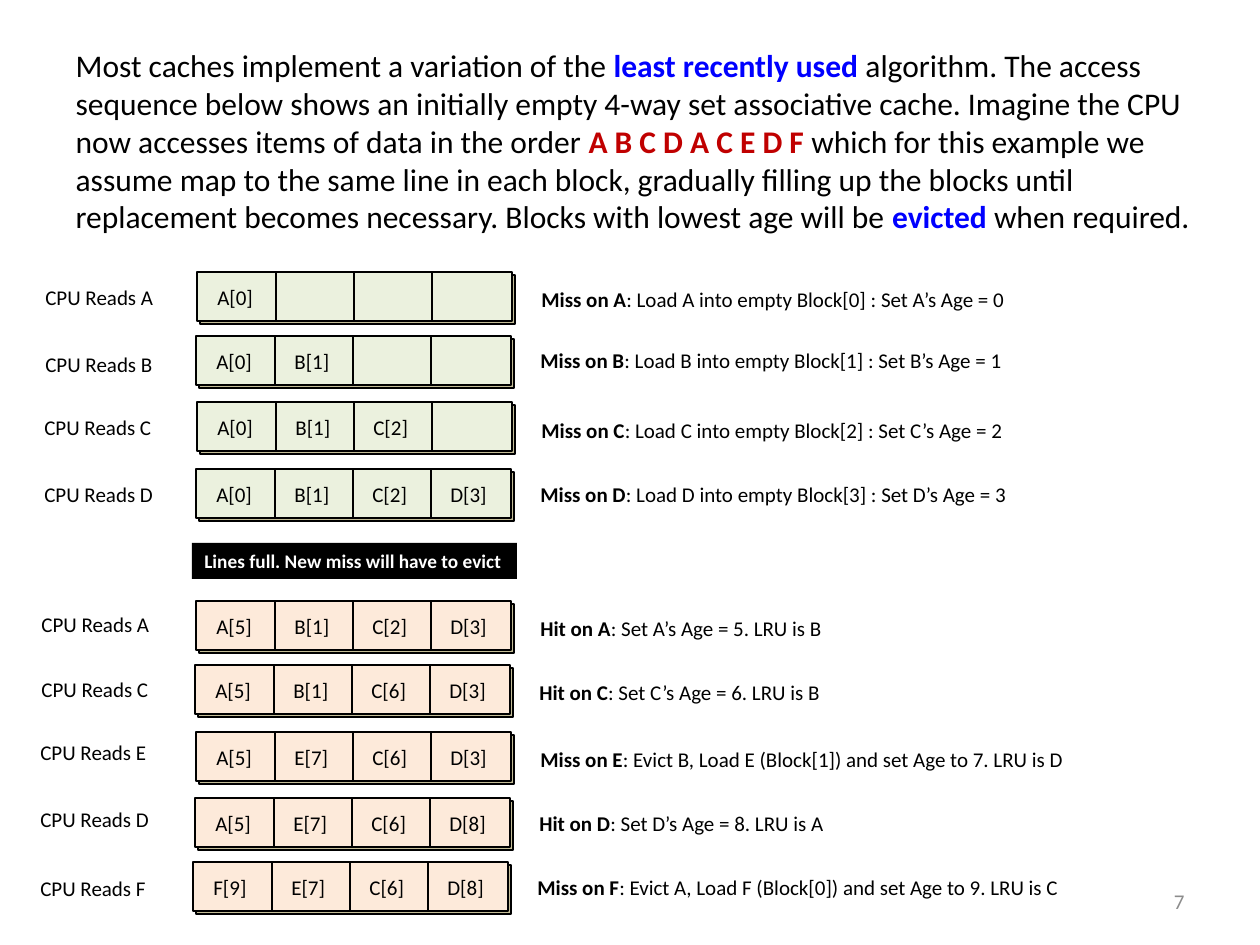
from dataclasses import dataclass

from lxml.etree import SubElement
from pptx import Presentation
from pptx.dml.color import RGBColor
from pptx.enum.shapes import MSO_CONNECTOR as LINE, MSO_SHAPE as SHAPE
from pptx.enum.text import MSO_ANCHOR as ANCHOR, MSO_AUTO_SIZE as FIT, PP_ALIGN as ALIGN
from pptx.oxml.ns import qn
from pptx.util import Pt

PX = 914400 // 126


@dataclass(frozen=True)
class Theme:
    font: str = "Calibri"
    black: str = "000000"
    white: str = "FFFFFF"
    blue: str = "0000FF"
    red: str = "C00000"
    grey: str = "8C8C8C"
    shadow: str = "C4BD97"
    filling: str = "EBF1DE"
    full: str = "FDEADA"
    intro_pt: int = 18
    text_pt: int = 12
    banner_pt: int = 11
    line_pt: float = 0.75


T = Theme()

# text, colour, bold
INTRO = [
    ("Most caches implement a variation of the ", T.black, False),
    ("least recently used", T.blue, True),
    (" algorithm. The access sequence below shows an initially empty 4-way set "
     "associative cache. Imagine the CPU now accesses items of data in the order ", T.black, False),
    ("A B C D A C E D F", T.red, True),
    (" which for this example we assume map to the same line in each block, gradually "
     "filling up the blocks until replacement becomes necessary. Blocks with lowest "
     "age will be ", T.black, False),
    ("evicted", T.blue, True),
    (" when required.", T.black, False),
]
BANNER = "Lines full. New miss will have to evict"
PAGE_NUMBER = "7"

# item read, blocks, outcome, explanation
ACCESSES = [
    ("A", "A[0]", "Miss", "Load A into empty Block[0] : Set A’s Age = 0"),
    ("B", "A[0] B[1]", "Miss", "Load B into empty Block[1] : Set B’s Age = 1"),
    ("C", "A[0] B[1] C[2]", "Miss", "Load C into empty Block[2] : Set C’s Age = 2"),
    ("D", "A[0] B[1] C[2] D[3]", "Miss", "Load D into empty Block[3] : Set D’s Age = 3"),
    ("A", "A[5] B[1] C[2] D[3]", "Hit", "Set A’s Age = 5. LRU is B"),
    ("C", "A[5] B[1] C[6] D[3]", "Hit", "Set C’s Age = 6. LRU is B"),
    ("E", "A[5] E[7] C[6] D[3]", "Miss", "Evict B, Load E (Block[1]) and set Age to 7. LRU is D"),
    ("D", "A[5] E[7] C[6] D[8]", "Hit", "Set D’s Age = 8. LRU is A"),
    ("F", "F[9] E[7] C[6] D[8]", "Miss", "Evict A, Load F (Block[0]) and set Age to 9. LRU is C"),
]
# cache left, cache top, label left, label top, note top
PLACES = [
    (197, 272, 33, 278, 280), (196, 336, 33, 345, 341), (197, 402, 32, 408, 411),
    (196, 469, 32, 475, 475), (196, 601, 29, 605, 609), (195, 665, 29, 670, 673),
    (196, 732, 28, 733, 740), (195, 798, 28, 800, 804), (193, 862, 28, 869, 868),
]
WAYS = 4
FULL_FROM = 4
CACHE_W, CACHE_H, CELL_W = 315, 49, 78
SHADOW_OFFSET = 3
TEXT_H = 38


def box(*lengths):
    return [n * PX for n in lengths]


def write(p, runs, size):
    for text, colour, bold in runs:
        r = p.add_run()
        r.text = text
        r.font.name, r.font.size, r.font.bold = T.font, Pt(size), bold
        r.font.color.rgb = RGBColor.from_string(colour)


def add_text(slide, x, y, w, runs, h=TEXT_H, size=T.text_pt):
    tf = slide.shapes.add_textbox(*box(x, y, w, h)).text_frame
    tf.word_wrap = True
    write(tf.paragraphs[0], runs, size)
    return tf


def add_rect(slide, x, y, w, h, fill, line=None):
    sp = slide.shapes.add_shape(SHAPE.RECTANGLE, *box(x, y, w, h))
    sp.shadow.inherit = False
    sp.fill.solid()
    sp.fill.fore_color.rgb = RGBColor.from_string(fill)
    if line:
        sp.line.color.rgb = RGBColor.from_string(line)
        sp.line.width = Pt(T.line_pt)
    else:
        sp.line.fill.background()
    return sp


def add_divider(slide, x, y):
    cxn = slide.shapes.add_connector(LINE.STRAIGHT, *box(x, y, x, y + CACHE_H))
    cxn.line.color.rgb = RGBColor.from_string(T.black)
    cxn.line.width = Pt(T.line_pt)
    SubElement(cxn._element.spPr, qn("a:effectLst"))


def add_cache(slide, x, y, blocks, fill):
    add_rect(slide, x + SHADOW_OFFSET, y + SHADOW_OFFSET, CACHE_W, CACHE_H, T.shadow, T.black)
    add_rect(slide, x, y, CACHE_W, CACHE_H, fill, T.black)
    for way in range(1, WAYS):
        add_divider(slide, x + 1 + way * CELL_W, y)
    for way, block in enumerate(blocks):
        add_text(slide, x + 8 + way * CELL_W, y + 6, 65, [(block, T.black, False)])


def add_intro(slide):
    body = slide.placeholders[1]
    body.left, body.top, body.width, body.height = box(63, 40, 1164, 804)
    tf = body.text_frame
    tf.auto_size = FIT.NONE
    p = tf.paragraphs[0]
    pPr = p._p.get_or_add_pPr()
    pPr.set("marL", "0")
    pPr.set("indent", "0")
    SubElement(pPr, qn("a:buNone"))
    write(p, INTRO, T.intro_pt)


def add_banner(slide):
    tf = add_rect(slide, 192, 543, 325, 36, T.black).text_frame
    tf.word_wrap = True
    tf.vertical_anchor = ANCHOR.TOP
    p = tf.paragraphs[0]
    p.alignment = ALIGN.LEFT
    write(p, [(BANNER, T.white, True)], T.banner_pt)


def main():
    prs = Presentation()
    prs.slide_width, prs.slide_height = box(1260, 945)
    slide = prs.slides.add_slide(prs.slide_layouts[1])
    title = slide.shapes.title._element
    title.getparent().remove(title)

    add_intro(slide)
    for i, (access, place) in enumerate(zip(ACCESSES, PLACES)):
        item, blocks, outcome, detail = access
        x, y, label_x, label_y, note_y = place
        add_cache(slide, x, y, blocks.split(), T.filling if i < FULL_FROM else T.full)
        add_text(slide, label_x, label_y, 141, [(f"CPU Reads {item}", T.black, False)])
        add_text(slide, x + 332, note_y, 570,
                 [(f"{outcome} on {item}", T.black, True), (f": {detail}", T.black, False)])
    add_banner(slide)

    tf = add_text(slide, 903, 876, 294, [(PAGE_NUMBER, T.grey, False)], h=50)
    tf.vertical_anchor = ANCHOR.MIDDLE
    tf.paragraphs[0].alignment = ALIGN.RIGHT
    prs.save("out.pptx")


if __name__ == "__main__":
    main()
